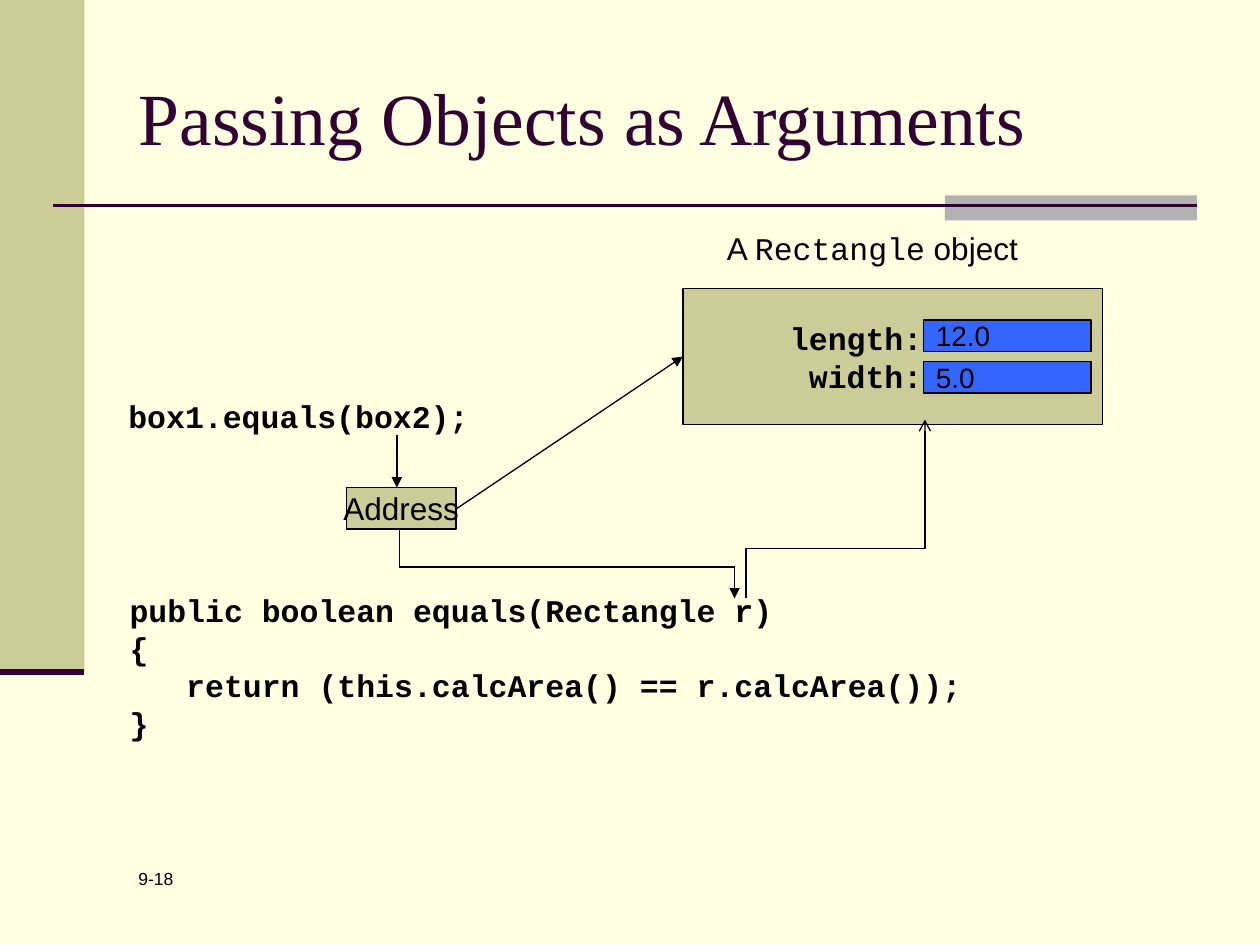
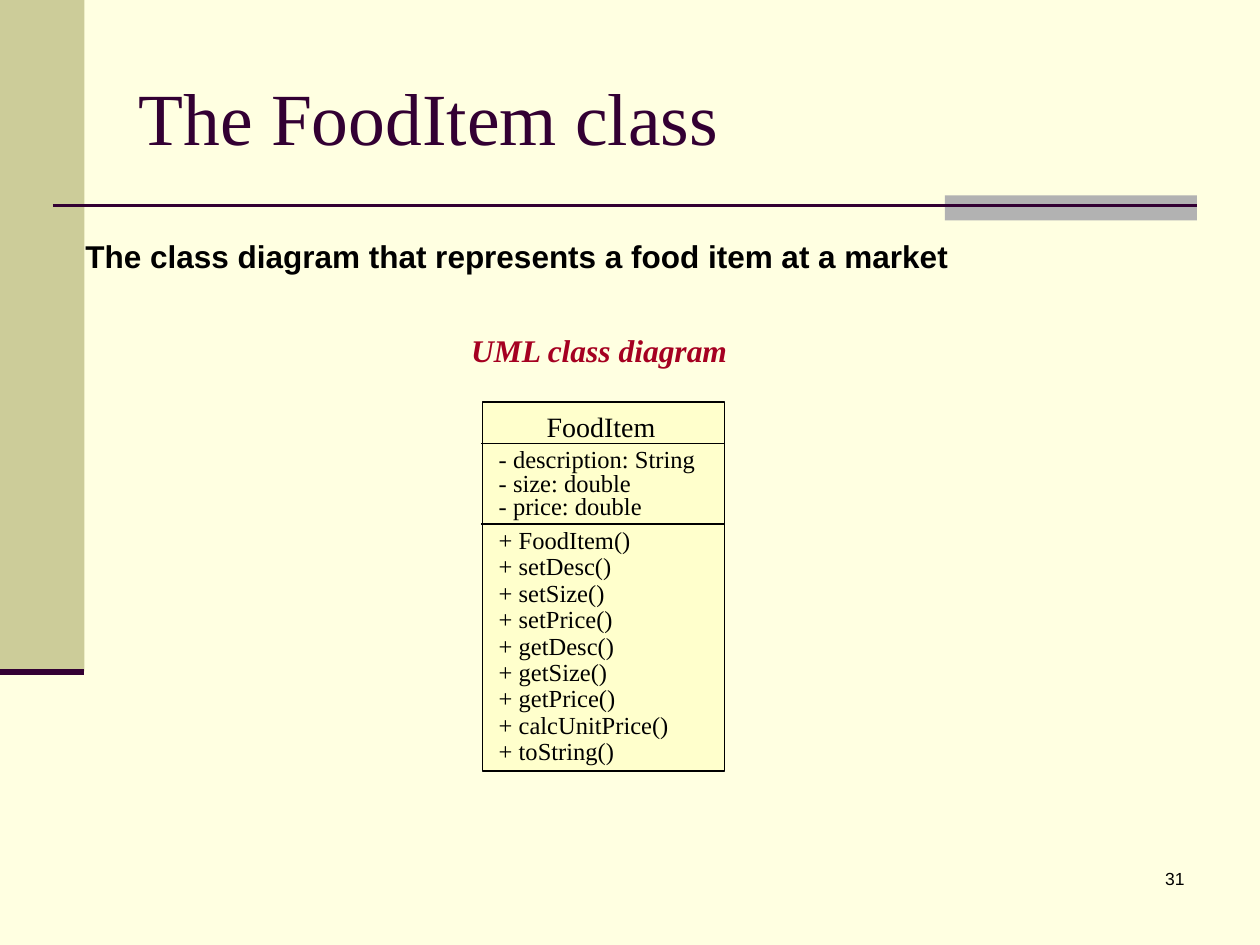
from lxml import etree
from pptx import Presentation
from pptx.dml.color import RGBColor
from pptx.enum.shapes import MSO_CONNECTOR, MSO_SHAPE
from pptx.enum.text import MSO_ANCHOR, PP_ALIGN
from pptx.oxml.ns import qn
from pptx.util import Inches, Pt

CREAM = RGBColor(0xFF, 0xFF, 0xE1)
KHAKI = RGBColor(0xCC, 0xCC, 0x99)
GRAY = RGBColor(0xB2, 0xB2, 0xB2)
PLUM = RGBColor(0x33, 0x00, 0x33)
BLUE = RGBColor(0x33, 0x66, 0xFF)
YELLOW = RGBColor(0xFF, 0xFF, 0xCC)
RED = RGBColor(0xA5, 0x00, 0x21)
BLACK = RGBColor(0, 0, 0)

SANS, MONO, SERIF = "Arial", "Courier New", "Times New Roman"
LEFT, CENTER, RIGHT = PP_ALIGN.LEFT, PP_ALIGN.CENTER, PP_ALIGN.RIGHT
MIDDLE = MSO_ANCHOR.MIDDLE
RECTANGLE = MSO_SHAPE.RECTANGLE
STRAIGHT, ELBOW = MSO_CONNECTOR.STRAIGHT, MSO_CONNECTOR.ELBOW
TITLE_ONLY = 5


def set_font(paragraph, face, size, color=BLACK, bold=False, italic=False):
    font = paragraph.font
    font.name, font.size, font.color.rgb = face, Pt(size), color
    font.bold, font.italic = bold, italic


def write(frame, lines, face, size, align=LEFT, spacing=None, **style):
    """Fill a text frame with one paragraph per line."""
    for i, line in enumerate(lines):
        paragraph = frame.paragraphs[0] if i == 0 else frame.add_paragraph()
        paragraph.text = line
        paragraph.alignment = align
        if spacing:
            paragraph.line_spacing = spacing
        set_font(paragraph, face, size, **style)


def add_text(slide, box, lines, face, size, wrap=True, **style):
    frame = slide.shapes.add_textbox(*map(Inches, box)).text_frame
    frame.word_wrap = wrap
    write(frame, lines, face, size, **style)
    return frame


def add_box(slide, box, fill, line_width=None):
    shape = slide.shapes.add_shape(RECTANGLE, *map(Inches, box))
    shape.shadow.inherit = False
    shape.fill.solid()
    shape.fill.fore_color.rgb = fill
    if line_width:
        shape.line.color.rgb = BLACK
        shape.line.width = Pt(line_width)
    else:
        shape.line.fill.background()
    shape.text_frame.vertical_anchor = MIDDLE
    return shape


def add_line(slide, start, end, color=BLACK, width=0.75, head=None, kind=STRAIGHT):
    line = slide.shapes.add_connector(kind, *map(Inches, start + end))
    line.line.color.rgb = color
    line.line.width = Pt(width)
    properties = line._element.spPr
    if head:
        etree.SubElement(properties.find(qn("a:ln")), qn("a:tailEnd"), type=head)
    etree.SubElement(properties, qn("a:effectLst"))
    return line


def add_rising_elbow(slide, left, top, side, bend):
    """Arrow up, right and up again across a square; bend is the share of the first rise."""
    arrow = add_line(slide, (left + side, top + side), (left, top), head="arrow", kind=ELBOW)
    properties = arrow._element.spPr
    properties.find(qn("a:xfrm")).set("rot", "5400000")
    geometry = properties.find(qn("a:prstGeom"))
    adjustments = geometry.find(qn("a:avLst"))
    if adjustments is None:
        adjustments = etree.SubElement(geometry, qn("a:avLst"))
    etree.SubElement(adjustments, qn("a:gd"), name="adj1", fmla=f"val {round(bend * 100000)}")


def add_slide(deck, title_text):
    """Start a slide with the shared bands, rules and title."""
    slide = deck.slides.add_slide(deck.slide_layouts[TITLE_ONLY])
    add_box(slide, (0, 0, 0.67, 5.33), KHAKI)
    add_box(slide, (7.5, 1.55, 2, 0.2), GRAY)
    add_line(slide, (0.42, 1.63), (9.5, 1.63), PLUM, 1.5)
    add_line(slide, (0, 5.33), (0.67, 5.33), PLUM, 3.5)

    title = slide.shapes.title
    title.left, title.top, title.width, title.height = map(Inches, (1, 0.3, 8.5, 1.25))
    title.text_frame.vertical_anchor = MIDDLE
    write(title.text_frame, [title_text], SERIF, 42, color=PLUM)
    return slide


def add_page_number(slide, left, number, align):
    add_text(slide, (left, 6.84, 2.1, 0.5), [number], SANS, 10, align=align)


def add_rectangle_object(slide):
    caption = add_text(slide, (5.67, 1.77, 2.52, 0.4), [""], SANS, 18, wrap=False)
    for text, face in (("A ", SANS), ("Rectangle", MONO), (" object", SANS)):
        run = caption.paragraphs[0].add_run()
        run.text = text
        run.font.name = face

    fields = add_box(slide, (5.42, 2.29, 3.33, 1.08), KHAKI, 0.75).text_frame
    fields.margin_right = Inches(1.43)
    write(fields, ["length:", "width:"], MONO, 18, align=RIGHT, bold=True)
    for row, value in enumerate(("12.0", "5.0")):
        cell = add_box(slide, (7.33, 2.54 + 0.33 * row, 1.33, 0.25), BLUE, 0.75)
        write(cell.text_frame, [value], SANS, 16)


def build_arguments_slide(deck):
    slide = add_slide(deck, "Passing Objects as Arguments")
    add_page_number(slide, 1, "9-18", LEFT)
    add_text(slide, (0.92, 3.1, 3.58, 0.4), ["box1.equals(box2);"], MONO, 18, bold=True)
    method = [
        "public boolean equals(Rectangle r)",
        "{",
        "   return (this.calcArea() == r.calcArea());",
        "}",
    ]
    add_text(slide, (0.93, 4.64, 6.8, 1.3), method, MONO, 18, wrap=False, bold=True)
    add_rectangle_object(slide)

    address = add_box(slide, (2.75, 3.87, 0.87, 0.33), KHAKI, 0.75).text_frame
    address.word_wrap = False
    write(address, ["Address"], SANS, 18, align=CENTER)

    add_line(slide, (3.15, 3.45), (3.15, 3.87), head="triangle")
    add_line(slide, (3.62, 4.04), (5.42, 2.83), head="triangle")
    add_line(slide, (3.17, 4.2), (3.17, 4.5))
    add_line(slide, (3.17, 4.5), (5.83, 4.5), width=1)
    add_line(slide, (5.83, 4.5), (5.83, 4.75), head="triangle")
    add_rising_elbow(slide, 5.92, 3.33, 1.42, bend=0.28)


def build_class_slide(deck):
    slide = add_slide(deck, "The FoodItem class")
    add_page_number(slide, 7.4, "31", RIGHT)
    add_text(slide, (0.58, 1.83, 7.12, 0.4),
             ["The class diagram that represents a food item at a market"],
             SANS, 18, wrap=False, bold=True)
    add_text(slide, (3.26, 2.58, 2.99, 0.4), ["UML class diagram"], SERIF, 18,
             align=CENTER, color=RED, bold=True, italic=True)

    add_box(slide, (3.83, 3.19, 1.92, 2.93), YELLOW, 1)
    add_text(slide, (4.06, 3.2, 1.42, 0.37), ["FoodItem"], SERIF, 16, align=CENTER)
    fields = ["- description: String", "- size: double", "- price: double"]
    add_text(slide, (3.86, 3.52, 1.89, 0.66), fields, SERIF, 14, spacing=0.8)
    methods = ["FoodItem", "setDesc", "setSize", "setPrice", "getDesc", "getSize",
               "getPrice", "calcUnitPrice", "toString"]
    add_text(slide, (3.86, 4.14, 1.89, 2.11), [f"+ {name}()" for name in methods],
             SERIF, 14, spacing=0.9)
    for divider in (3.52, 4.16):
        add_line(slide, (3.82, divider), (5.75, divider))


def main():
    deck = Presentation()
    deck.slide_width, deck.slide_height = Inches(10), Inches(7.5)
    background = deck.slide_master.background.fill
    background.solid()
    background.fore_color.rgb = CREAM
    build_arguments_slide(deck)
    build_class_slide(deck)
    deck.save("out.pptx")


if __name__ == "__main__":
    main()
